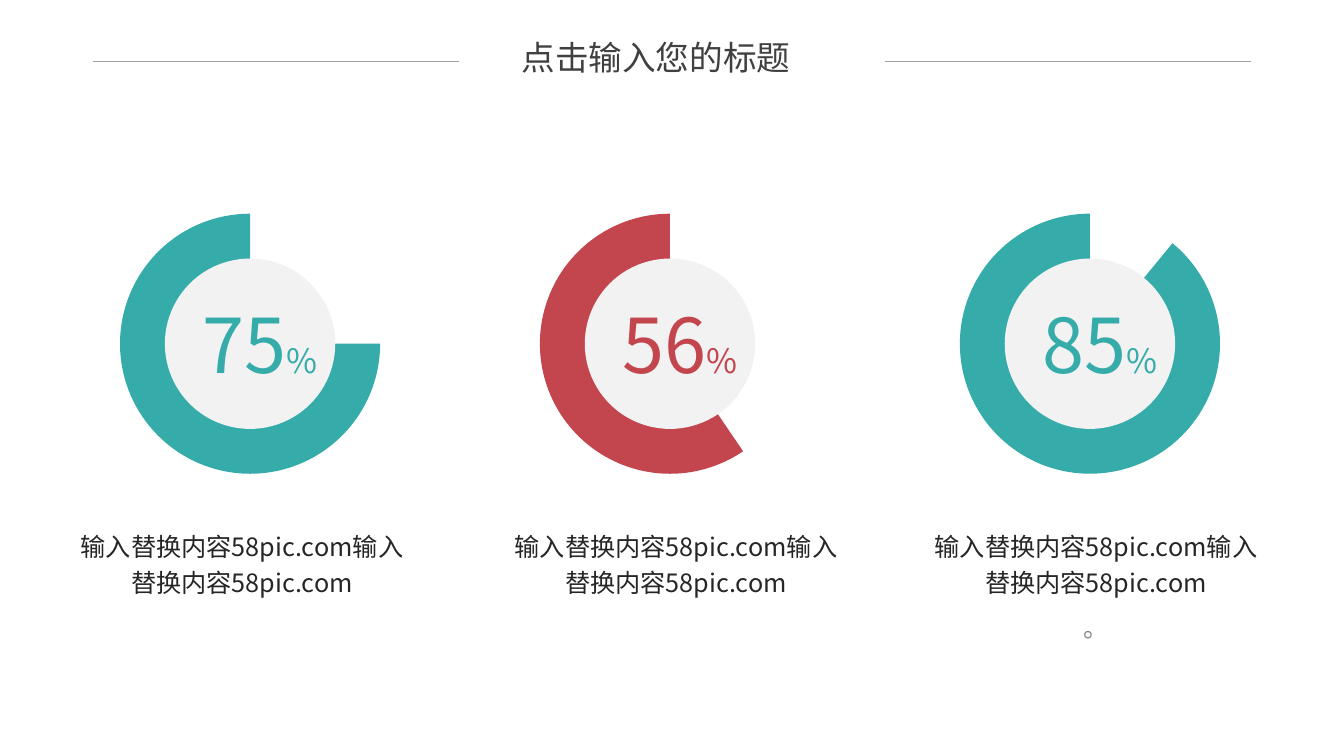
from lxml.etree import SubElement
from pptx import Presentation
from pptx.dml.color import RGBColor
from pptx.enum.shapes import MSO_CONNECTOR, MSO_SHAPE
from pptx.enum.text import MSO_ANCHOR, MSO_AUTO_SIZE, PP_ALIGN
from pptx.oxml.ns import qn
from pptx.util import Inches, Pt

FONT = "Noto Sans CJK JP"
TEAL, RED, DISC = "35ACA9", "C3454E", "F2F2F2"
INK, TITLE_INK, GREY, RULE = "262626", "404040", "808080", "A6A6A6"

# Grid: three dial columns, measured in inches
FIRST_LEFT, COLUMN = 1.19, 4.165
DIAL_TOP, DIAL, HOLE = 2.12, 2.58, 1.69
CAPTION_TOP, CAPTION_WIDTH = 5.16, 3.42
RULE_Y, RULE_LENGTH = 0.61, 3.63

CAPTION = "输入替换内容58pic.com输入替换内容58pic.com"
# percent, colour, start angle of the pie, caption offset, caption paragraphs
DIALS = [
    ("75", TEAL, 0, -0.5, [(CAPTION, INK, 1.2)]),
    ("56", RED, 55.79, -0.36, [(CAPTION, INK, 1.2)]),
    ("85", TEAL, 309.4, -0.36, [(CAPTION, INK, 1.2), ("。", GREY, 1.5)]),
]


def rgb(value):
    return RGBColor.from_string(value)


def style(p, color, size=None):
    """Set the paragraph font for both Latin and East Asian text."""
    font = p.font
    font.color.rgb = rgb(color)
    font.name = FONT
    if size:
        font.size = Pt(size)
    SubElement(p._p.pPr.find(qn("a:defRPr")), qn("a:ea"), typeface=FONT)


def add_text(s, left, top, width, height, wrap=True):
    tf = s.shapes.add_textbox(*map(Inches, (left, top, width, height))).text_frame
    tf.word_wrap = wrap
    tf.auto_size = MSO_AUTO_SIZE.SHAPE_TO_FIT_TEXT
    return tf


def add_round(s, kind, left, top, size, color):
    sp = s.shapes.add_shape(kind, *map(Inches, (left, top, size, size)))
    sp.shadow.inherit = False
    sp.fill.solid()
    sp.fill.fore_color.rgb = rgb(color)
    sp.line.fill.background()
    return sp


def add_dial(s, left, percent, color, start):
    pie = add_round(s, MSO_SHAPE.PIE, left, DIAL_TOP, DIAL, color)
    # Angles are stored in 60000ths of a degree, adjustments in 100000ths
    pie.adjustments[0] = start * 0.6
    pie.adjustments[1] = 270 * 0.6
    inset = (DIAL - HOLE) / 2
    add_round(s, MSO_SHAPE.OVAL, left + inset, DIAL_TOP + inset, HOLE, DISC)

    p = add_text(s, left + 0.72, 2.91, 1.52, 1.01, wrap=False).paragraphs[0]
    style(p, color)
    for text, size in ((percent, 54), ("%", 24)):
        r = p.add_run()
        r.text = text
        r.font.size = Pt(size)


def add_caption(s, left, paragraphs):
    height = 0.79 + 0.44 * (len(paragraphs) - 1)
    tf = add_text(s, left, CAPTION_TOP, CAPTION_WIDTH, height)
    for i, (text, color, spacing) in enumerate(paragraphs):
        p = tf.add_paragraph() if i else tf.paragraphs[0]
        p.text = text
        p.alignment = PP_ALIGN.CENTER
        p.line_spacing = spacing
        style(p, color, 18)


def add_title(s, text):
    tf = add_text(s, 4.46, 0.37, 4.09, 0.4)
    tf.margin_left = tf.margin_right = tf.margin_top = tf.margin_bottom = 0
    tf.vertical_anchor = MSO_ANCHOR.MIDDLE
    p = tf.paragraphs[0]
    p.text = text
    p.alignment = PP_ALIGN.CENTER
    style(p, TITLE_INK, 24)


def add_rule(s, left):
    ends = map(Inches, (left, RULE_Y, left + RULE_LENGTH, RULE_Y))
    line = s.shapes.add_connector(MSO_CONNECTOR.STRAIGHT, *ends)
    line.line.color.rgb = rgb(RULE)
    line.line.width = Pt(0.5)
    SubElement(line._element.spPr, qn("a:effectLst"))


def main():
    prs = Presentation()
    prs.slide_width, prs.slide_height = Inches(13.33), Inches(7.5)
    s = prs.slides.add_slide(prs.slide_layouts[6])

    # Dials with their captions
    for i, (percent, color, start, offset, paragraphs) in enumerate(DIALS):
        left = FIRST_LEFT + i * COLUMN
        add_dial(s, left, percent, color, start)
        add_caption(s, left + offset, paragraphs)

    # Title between two rules
    add_title(s, "点击输入您的标题")
    for left in (0.92, 8.78):
        add_rule(s, left)

    prs.save("out.pptx")


if __name__ == "__main__":
    main()
